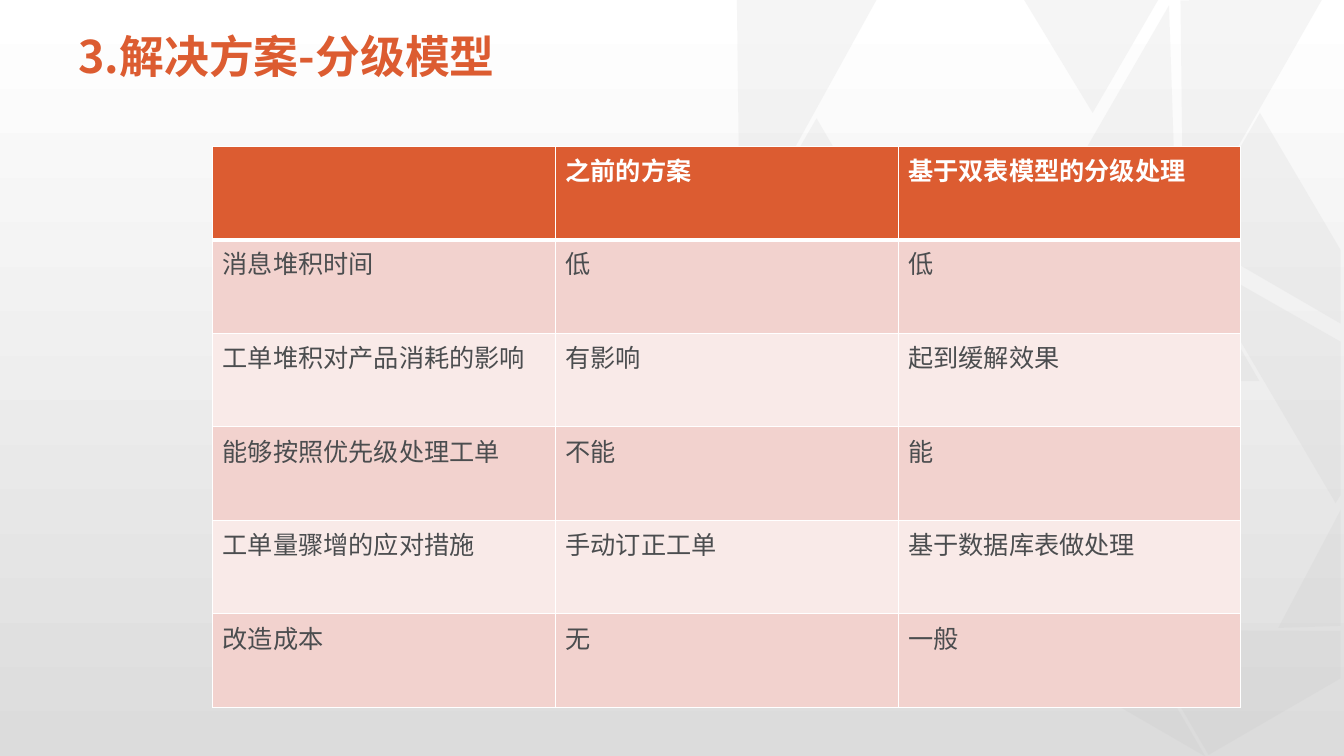
from dataclasses import dataclass

from lxml import etree
from pptx import Presentation
from pptx import util as u
from pptx.dml.color import RGBColor
from pptx.enum import shapes, text
from pptx.oxml import ns

CELL = u.Inches(0.1)
COLUMNS, ROWS = 133.33, 75
CJK_FONT = "Noto Sans CJK SC"
COLOURS = {
    "accent": "DC5C31",
    "body": "4B4D4F",
    "white": "FFFFFF",
    "mist": "DCDCDC",
    "facet": "BFBFBF",
    "band_dark": "F2D2CE",
    "band_light": "F9EAE8",
}
TITLE_FORMAT = {"size": u.Pt(32), "bold": True, "name": CJK_FONT}
HEADER_FORMAT = {"size": u.Pt(18), "bold": True, "name": "Times New Roman"}
BODY_FORMAT = HEADER_FORMAT | {"bold": False}


@dataclass(frozen=True)
class Triangle:
    column: float
    row: float
    columns: float
    rows: float
    rotation: float


@dataclass(frozen=True)
class Facet:
    points: tuple[tuple[float, float], ...]


BACKDROP = (
    Triangle(98.7, 30.6, 24.3, 14.3, 149.8),
    Triangle(92, 43.8, 24.8, 14.1, 89.3),
    Triangle(100, 55.7, 24.8, 14.1, 30.1),
    Facet(((112.7, 62.5), (133, 62.6), (133, 67.3), (119.9, 74.9))),
    Facet(((133, 50.6), (133, 62.1), (126.8, 62.3))),
    Facet(((118.1, 25.4), (133, 33.9), (133, 49.1), (132.5, 49.9))),
    Triangle(112.3, 4.9, 24, 14.1, 89.3),
    Facet(((125, 11.2), (133, 24.8), (133, 32.1), (118, 23.4))),
    Triangle(67.9, 5, 24.8, 14.1, 89.3),
    Triangle(75.8, 17, 24.8, 14.1, 30.1),
    Triangle(90.5, 16.7, 24.3, 14.3, 329.8),
    Triangle(98, 5, 22.6, 14.1, 268.1),
    Facet(((101.6, 0), (114.9, 0), (108.4, 11.2))),
)

COMPARISON = (
    ("", "之前的方案", "基于双表模型的分级处理"),
    ("消息堆积时间", "低", "低"),
    ("工单堆积对产品消耗的影响", "有影响", "起到缓解效果"),
    ("能够按照优先级处理工单", "不能", "能"),
    ("工单量骤增的应对措施", "手动订正工单", "基于数据库表做处理"),
    ("改造成本", "无", "一般"),
)


def cells(*lengths: float) -> list[int]:
    return [round(length * CELL) for length in lengths]


def colour(name: str) -> RGBColor:
    return RGBColor.from_string(COLOURS[name])


def paint(target, name: str) -> None:
    target.fill.solid()
    target.fill.fore_color.rgb = colour(name)


def write(paragraph, content: str, font_format: dict, colour_name: str) -> None:
    run = paragraph.add_run()
    run.text = content
    for attribute, value in font_format.items():
        setattr(run.font, attribute, value)
    run.font.color.rgb = colour(colour_name)
    etree.SubElement(run.font._element, ns.qn("a:ea"), typeface=CJK_FONT)


def draw_gradient(slide) -> None:
    shape = slide.shapes.add_shape(
        shapes.MSO_SHAPE.RECTANGLE, *cells(0, 0, COLUMNS, ROWS)
    )
    shape.shadow.inherit = False
    shape.line.fill.background()
    shape.fill.gradient()
    shape.fill.gradient_angle = 90
    for stop, name, position in zip(
        shape.fill.gradient_stops, ("mist", "white"), (0, 1)
    ):
        stop.color.rgb = colour(name)
        stop.position = position


def draw_backdrop_piece(slide, piece: Triangle | Facet) -> None:
    if isinstance(piece, Triangle):
        shape = slide.shapes.add_shape(
            shapes.MSO_SHAPE.RIGHT_TRIANGLE,
            *cells(piece.column, piece.row, piece.columns, piece.rows),
        )
        shape.rotation = piece.rotation
    else:
        start, *others = [cells(*point) for point in piece.points]
        builder = slide.shapes.build_freeform(*start)
        builder.add_line_segments(others, close=True)
        shape = builder.convert_to_shape()
    shape.shadow.inherit = False
    shape.line.fill.background()
    paint(shape, "facet")
    fill_colour = shape._element.spPr.find(".//" + ns.qn("a:srgbClr"))
    etree.SubElement(fill_colour, ns.qn("a:alpha"), val="14000")


def draw_title(slide, content: str) -> None:
    frame = slide.shapes.add_textbox(*cells(6.8, 1.5, 119.8, 8.7)).text_frame
    frame.word_wrap = True
    frame.vertical_anchor = text.MSO_ANCHOR.MIDDLE
    paragraph = frame.paragraphs[0]
    paragraph.line_spacing = 0.9
    write(paragraph, content, TITLE_FORMAT, "accent")


def set_borders(cell, widths: dict[str, float]) -> None:
    properties = cell._tc.get_or_add_tcPr()
    for index, (side, width) in enumerate(widths.items()):
        line = etree.Element(ns.qn(f"a:{side}"), w=str(u.Pt(width)))
        fill = etree.SubElement(line, ns.qn("a:solidFill"))
        etree.SubElement(fill, ns.qn("a:srgbClr"), val=COLOURS["white"])
        properties.insert(index, line)


def draw_comparison(slide) -> None:
    row_count, column_count = len(COMPARISON), len(COMPARISON[0])
    table = slide.shapes.add_table(
        row_count, column_count, *cells(21.1, 14.5, 102, 55.7)
    ).table
    for row_index, contents in enumerate(COMPARISON):
        header = row_index == 0
        band = "band_dark" if row_index % 2 else "band_light"
        top = 3 if row_index == 1 else 1
        widths = {"lnL": 1, "lnR": 1, "lnT": top, "lnB": 3 if header else 1}
        for column_index, content in enumerate(contents):
            cell = table.cell(row_index, column_index)
            paint(cell, "accent" if header else band)
            set_borders(cell, widths)
            if content:
                write(
                    cell.text_frame.paragraphs[0],
                    content,
                    HEADER_FORMAT if header else BODY_FORMAT,
                    "white" if header else "body",
                )


def main() -> None:
    presentation = Presentation()
    presentation.slide_width, presentation.slide_height = cells(COLUMNS, ROWS)
    slide = presentation.slides.add_slide(presentation.slide_layouts[6])
    draw_gradient(slide)
    for piece in BACKDROP:
        draw_backdrop_piece(slide, piece)
    draw_title(slide, "3.解决方案-分级模型")
    draw_comparison(slide)
    presentation.save("out.pptx")


if __name__ == "__main__":
    main()
